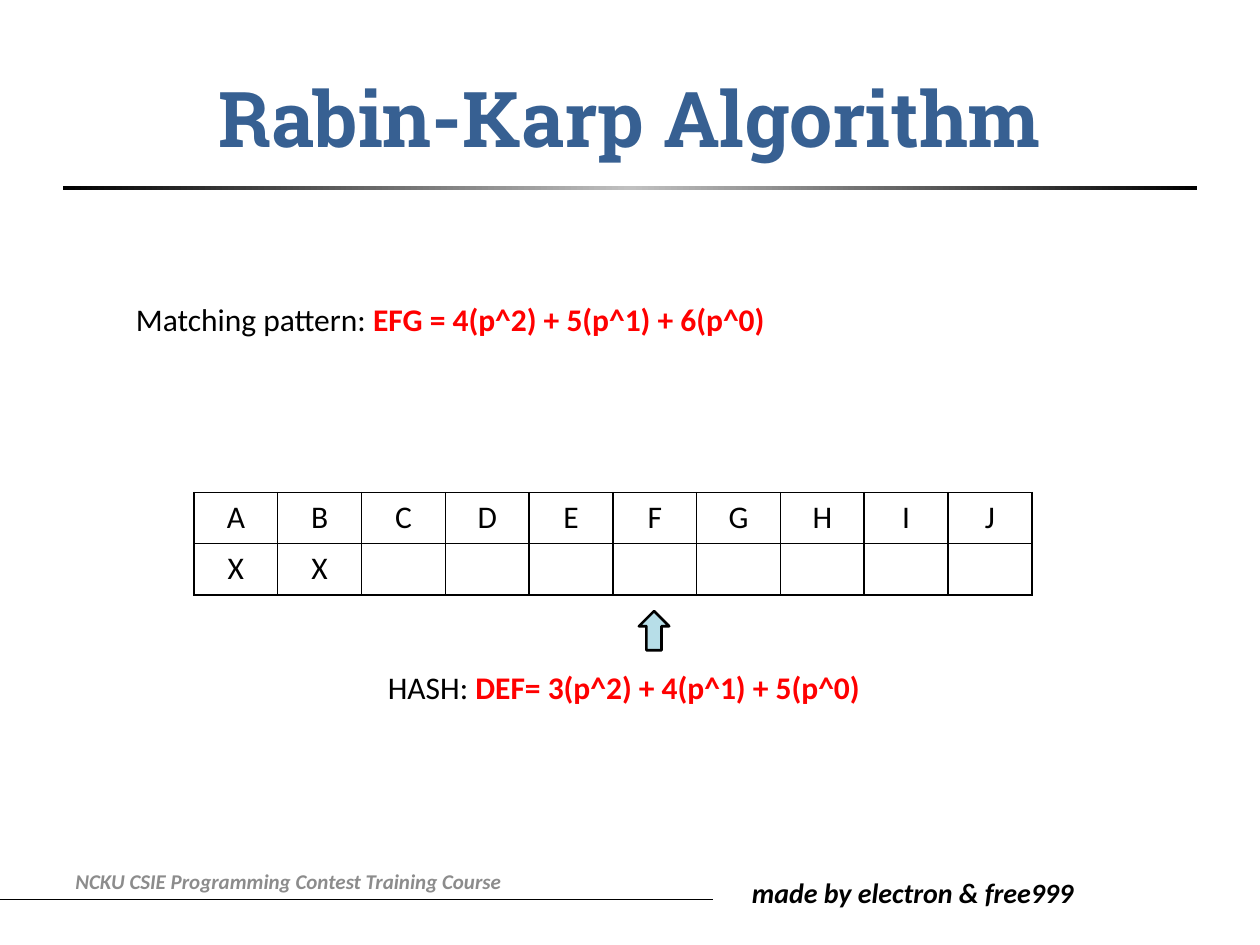
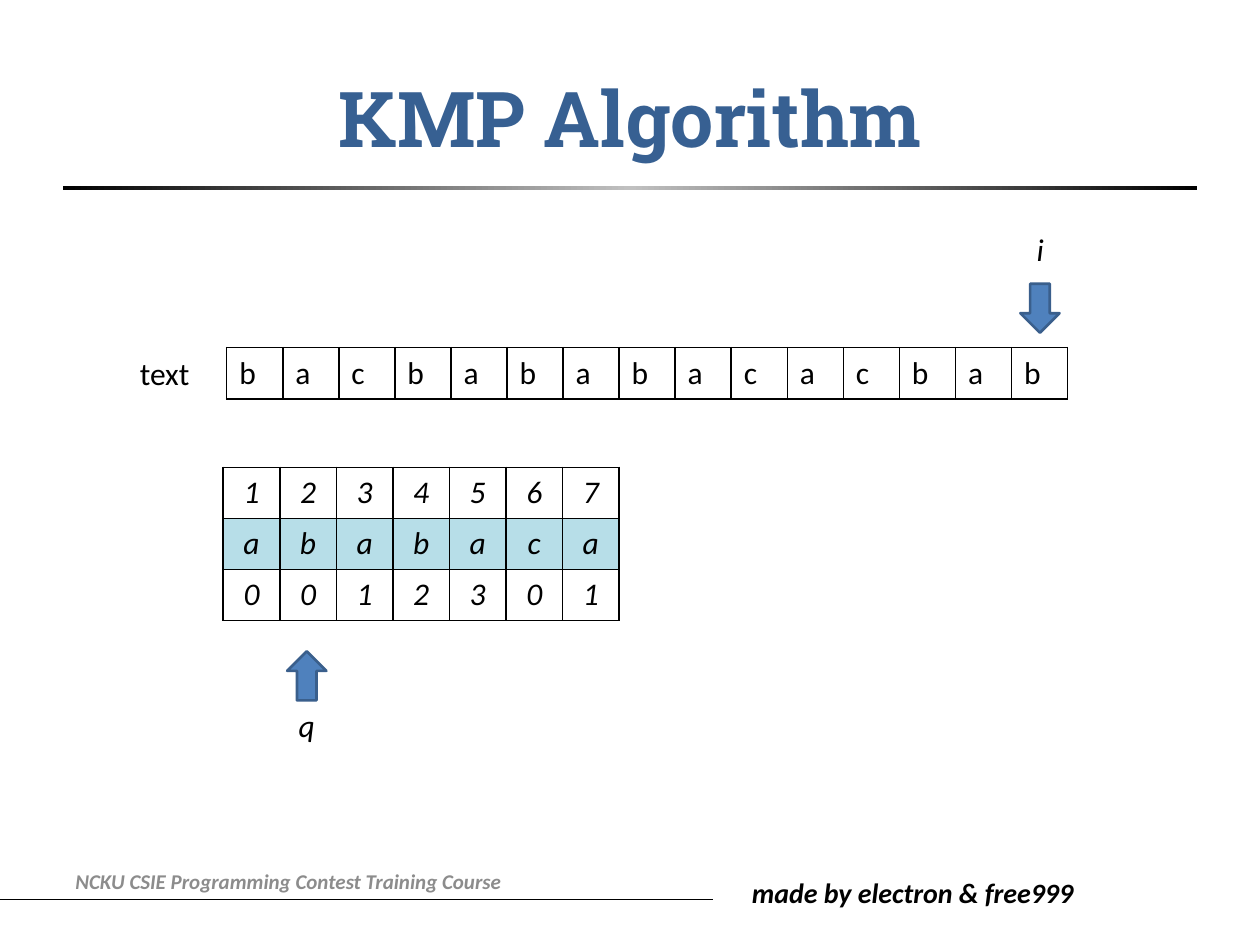
import copy
from dataclasses import dataclass

import lxml.etree
import pptx
import pptx.dml.color
import pptx.enum.shapes
import pptx.enum.text
import pptx.oxml
import pptx.oxml.ns
import pptx.util

Cm = pptx.util.Cm
Pt = pptx.util.Pt
Align = pptx.enum.text.PP_ALIGN
Anchor = pptx.enum.text.MSO_ANCHOR
Preset = pptx.enum.shapes.MSO_SHAPE


@dataclass(frozen=True)
class Theme:
    title_font: str = "Roboto Slab"
    body_font: str = "Calibri"
    title_size: int = 44
    body_size: int = 18
    author_size: int = 16
    course_size: int = 12
    title: str = "376092"
    ink: str = "000000"
    silver: str = "C0C0C0"
    course: str = "8C8C8C"
    accent: str = "FF0000"
    pale: str = "B7DEE8"
    blue: str = "4F81BD"
    blue_edge: str = "3A5F8C"


THEME = Theme()

# Content; places are left, top, width, height in centimetres
COURSE = "NCKU CSIE Programming Contest Training Course"
AUTHORS = "made by electron & free999"
ROW_HEIGHT = 1.03

RABIN_KARP = {
    "title": "Rabin-Karp Algorithm",
    "tables": [
        {"at": (3.91, 9.93), "column": 1.69, "align": Align.CENTER,
         "rows": ["ABCDEFGHIJ", "XX        "]},
    ],
    "labels": [
        {"at": (2.49, 5.92, 16, 1.02), "text": "Matching pattern: ",
         "accent": "EFG = 4(p^2) + 5(p^1) + 6(p^0)"},
        {"at": (7.57, 13.34, 16, 1.02), "text": "HASH: ",
         "accent": "DEF= 3(p^2) + 4(p^1) + 5(p^0)"},
    ],
    "arrows": [
        {"at": (12.88, 12.32, 0.61, 0.79), "preset": Preset.UP_ARROW,
         "fill": THEME.pale, "edge": THEME.ink},
    ],
}

KMP = {
    "title": "KMP Algorithm",
    "tables": [
        {"at": (4.5, 9.42), "column": 1.14, "align": Align.CENTER,
         "italic": True, "shaded_row": 1,
         "rows": ["1234567", "ababaca", "0012301"]},
        {"at": (4.57, 7.01), "column": 1.13, "align": Align.LEFT,
         "rows": ["bacbababacacbab"]},
    ],
    "labels": [
        {"at": (2.57, 7.01, 2.01, 1.02), "text": "text"},
        {"at": (20.65, 4.52, 0.79, 1.02), "text": "i", "italic": True},
        {"at": (5.77, 14.1, 0.79, 1.02), "text": "q", "italic": True},
    ],
    "arrows": [
        {"at": (20.57, 5.72, 0.79, 0.99), "preset": Preset.DOWN_ARROW,
         "fill": THEME.blue, "edge": THEME.blue_edge},
        {"at": (5.79, 13.13, 0.79, 0.99), "preset": Preset.UP_ARROW,
         "fill": THEME.blue, "edge": THEME.blue_edge},
    ],
}


def lengths(values):
    return [Cm(value) for value in values]


def rgb(color):
    return pptx.dml.color.RGBColor.from_string(color)


def style(span, size=THEME.body_size, color=THEME.ink, bold=False,
          italic=False, font=THEME.body_font):
    span.font.name = font
    span.font.size = Pt(size)
    span.font.bold = bold
    span.font.italic = italic
    span.font.color.rgb = rgb(color)


def add_text(page, at, text, align=Align.LEFT, anchor=Anchor.TOP, **look):
    box = page.shapes.add_textbox(*lengths(at))
    frame = box.text_frame
    frame.word_wrap = True
    frame.vertical_anchor = anchor
    frame.text = text
    para = frame.paragraphs[0]
    para.alignment = align
    style(para.runs[0], **look)
    return para


def add_label(page, at, text, accent="", italic=False):
    para = add_text(page, at, text, italic=italic)
    if accent:
        span = para.add_run()
        span.text = accent
        style(span, color=THEME.accent, bold=True)


def add_arrow(page, at, preset, fill, edge):
    arrow = page.shapes.add_shape(preset, *lengths(at))
    arrow.shadow.inherit = False
    arrow.fill.solid()
    arrow.fill.fore_color.rgb = rgb(fill)
    arrow.line.color.rgb = rgb(edge)
    arrow.line.width = Pt(1.5)


def add_borders(cell):
    properties = cell._tc.get_or_add_tcPr()
    for side in ("lnL", "lnR", "lnT", "lnB"):
        properties.append(pptx.oxml.parse_xml(
            f'<a:{side} {pptx.oxml.ns.nsdecls("a")} w="{Pt(1)}"><a:solidFill>'
            f'<a:srgbClr val="{THEME.ink}"/></a:solidFill></a:{side}>'))


def add_grid(page, at, column, rows, align, italic=False, shaded_row=None):
    count = len(rows[0])
    size = (column * count, ROW_HEIGHT * len(rows))
    table = page.shapes.add_table(len(rows), count, *lengths(at + size)).table
    table.first_row = False
    table.horz_banding = False
    for row_index, letters in enumerate(rows):
        table.rows[row_index].height = Cm(ROW_HEIGHT)
        for column_index, letter in enumerate(letters):
            cell = table.cell(row_index, column_index)
            add_borders(cell)
            if row_index == shaded_row:
                cell.fill.solid()
                cell.fill.fore_color.rgb = rgb(THEME.pale)
            else:
                cell.fill.background()
            cell.text_frame.text = letter.strip()
            para = cell.text_frame.paragraphs[0]
            para.alignment = align
            for span in para.runs:
                style(span, italic=italic)


def add_title_rule(page):
    rule = page.shapes.add_shape(
        Preset.RECTANGLE, *lengths((1.27, 3.76, 22.86, 0.08)))
    rule.shadow.inherit = False
    rule.line.fill.background()
    rule.fill.gradient()
    rule.fill.gradient_angle = 0
    # A third stop makes the rule fade to silver in the middle
    stops = rule._element.spPr.find(".//" + pptx.oxml.ns.qn("a:gsLst"))
    stops.append(copy.deepcopy(stops[0]))
    colors = (THEME.ink, THEME.silver, THEME.ink)
    for index, (stop, color) in enumerate(zip(rule.fill.gradient_stops, colors)):
        stop.position = index / 2
        stop.color.rgb = rgb(color)


def add_frame(page, title):
    # Footer line and credits
    line = page.shapes.add_connector(
        pptx.enum.shapes.MSO_CONNECTOR.STRAIGHT,
        *lengths((-1.5, 18.14, 14.38, 18.14)))
    line.line.color.rgb = rgb(THEME.ink)
    line.line.width = Pt(0.5)
    lxml.etree.SubElement(line._element.spPr, pptx.oxml.ns.qn("a:effectLst"))
    add_text(page, (14.91, 17.53, 7.52, 0.94), AUTHORS,
             size=THEME.author_size, bold=True, italic=True)
    add_text(page, (1.27, 17.25, 12.83, 1.02), COURSE, anchor=Anchor.MIDDLE,
             size=THEME.course_size, color=THEME.course, bold=True, italic=True)
    # Title and its rule
    add_title_rule(page)
    add_text(page, (1.27, 0.76, 22.86, 3.18), title, align=Align.CENTER,
             anchor=Anchor.MIDDLE, size=THEME.title_size, color=THEME.title,
             bold=True, font=THEME.title_font)


deck = pptx.Presentation()
deck.slide_width, deck.slide_height = lengths((25.4, 19.05))

for content in (RABIN_KARP, KMP):
    page = deck.slides.add_slide(deck.slide_layouts[6])
    add_frame(page, content["title"])
    for grid in content["tables"]:
        add_grid(page, **grid)
    for label in content["labels"]:
        add_label(page, **label)
    for arrow in content["arrows"]:
        add_arrow(page, **arrow)

deck.save("out.pptx")
